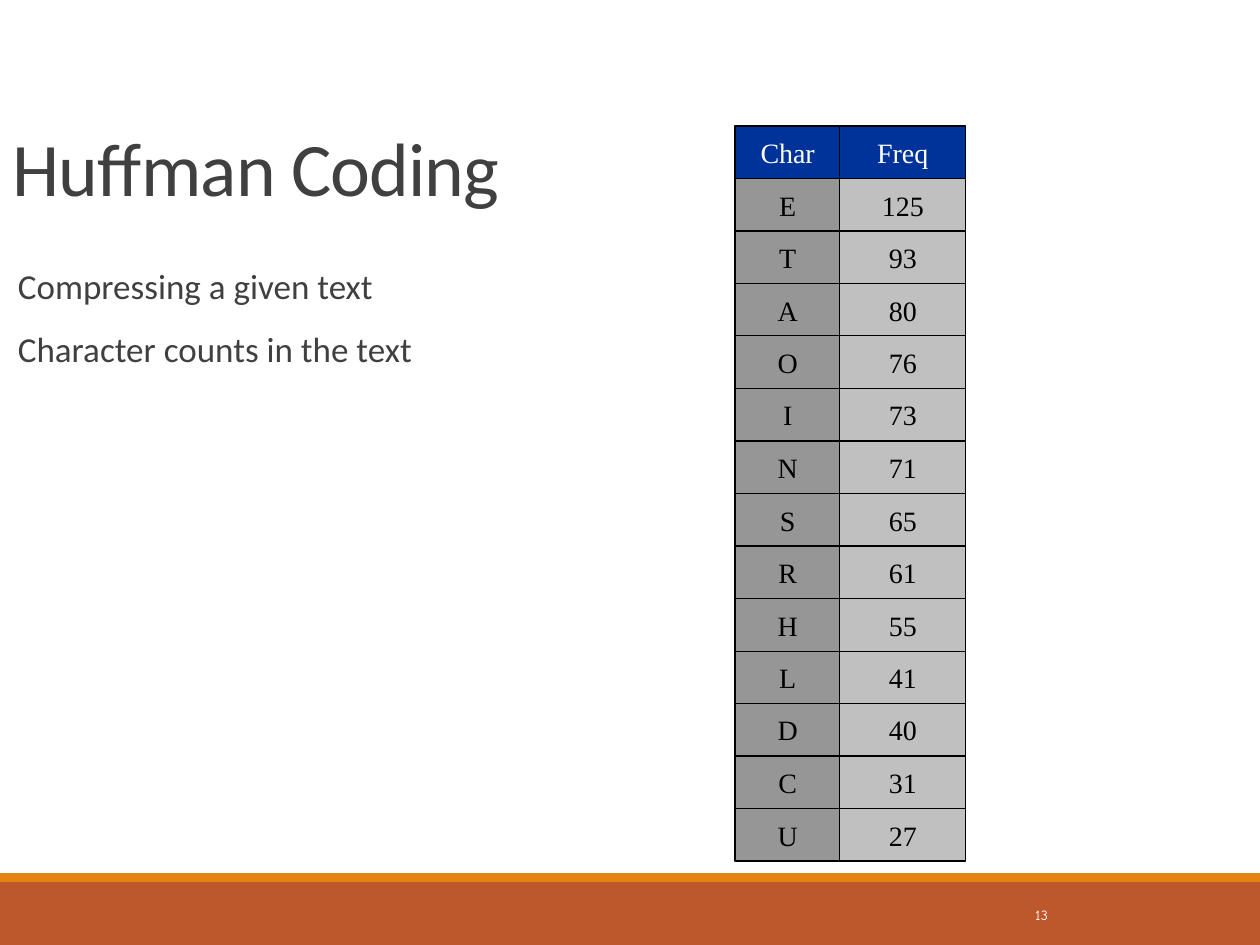
"""Build the Huffman coding slide with its grid of character counts."""
from typing import NamedTuple

from lxml import etree
from pptx import Presentation
from pptx.dml.color import RGBColor
from pptx.enum.shapes import MSO_SHAPE
from pptx.enum.text import MSO_ANCHOR, MSO_AUTO_SIZE, PP_ALIGN
from pptx.oxml.ns import qn
from pptx.util import Cm, Pt

RECT = MSO_SHAPE.RECTANGLE
LEFT, MID = PP_ALIGN.LEFT, PP_ALIGN.CENTER
CENTER, BASE = MSO_ANCHOR.MIDDLE, MSO_ANCHOR.BOTTOM
FIXED = MSO_AUTO_SIZE.NONE
SERIF = "Times New Roman"
SANS = "Calibri"
GRAY, BLACK, WHITE, BLUE = "404040", "000000", "FFFFFF", "003399"


class Box(NamedTuple):
    left: float
    top: float
    width: float
    height: float


class Band(NamedTuple):
    box: Box
    color: str


class Col(NamedTuple):
    left: float
    width: float
    fill: str
    head: str
    cells: list[str]


BANDS = [
    Band(Box(0, 17.78, 25.4, 1.27), "BD582C"),
    Band(Box(0, 17.6, 25.4, 0.18), "E48312"),
]
LINES = ["Compressing a given text", "Character counts in the text"]
COUNTS = "125 93 80 76 73 71 65 61 55 41 40 31 27".split()
COLS = [
    Col(14.82, 2.12, "969696", "Char", list("ETAOINSRHLDCU")),
    Col(16.93, 2.54, "C0C0C0", "Freq", COUNTS),
]
TOP = 2.54
STEP = 14.82 / (len(COUNTS) + 1)


def paint(part, color: str) -> None:
    """Give a fill or font a solid colour."""
    if hasattr(part, "solid"):
        part.solid()
        part.fore_color.rgb = RGBColor.from_string(color)
    else:
        part.color.rgb = RGBColor.from_string(color)


def style(para, face: str, size: float, color: str) -> None:
    """Set the font of a paragraph."""
    para.font.name = face
    para.font.size = Pt(size)
    paint(para.font, color)


def place(shape, box: Box) -> None:
    """Move and size a shape."""
    shape.left, shape.top, shape.width, shape.height = map(Cm, box)


def draw_rect(slide, box: Box, color: str):
    """Draw a flat rectangle and return it."""
    shape = slide.shapes.add_shape(RECT, *map(Cm, box))
    shape.shadow.inherit = False
    paint(shape.fill, color)
    return shape


def draw_page(slide, text: str) -> None:
    """Write the page number."""
    box = Box(20.62, 17.93, 2.74, 1.02)
    frame = slide.shapes.add_textbox(*map(Cm, box)).text_frame
    frame.word_wrap = True
    frame.vertical_anchor = CENTER
    frame.text = text
    style(frame.paragraphs[0], "Comic Neue", 8, WHITE)


def draw_title(shape, text: str) -> None:
    """Fill the title placeholder."""
    place(shape, Box(0, 2.42, 20.75, 1.98))
    frame = shape.text_frame
    frame.auto_size = FIXED
    frame.vertical_anchor = BASE
    frame.text = text
    para = frame.paragraphs[0]
    para.alignment = LEFT
    para.line_spacing = 0.85
    style(para, SANS, 43.2, GRAY)
    para.runs[0].font._element.set("spc", "-50")


def draw_list(shape, lines: list[str]) -> None:
    """Fill the body placeholder with plain indented lines."""
    place(shape, Box(0, 5.31, 20.75, 13.54))
    frame = shape.text_frame
    frame.auto_size = FIXED
    frame.margin_left = frame.margin_right = 0
    frame.text = "\n".join(lines)
    for i, para in enumerate(frame.paragraphs):
        props = para._p.get_or_add_pPr()
        props.set("marL", str(Cm(0.36)))
        props.set("indent", "0")
        etree.SubElement(props, qn("a:buNone"))
        para.line_spacing = 0.9
        para.space_before = Pt(12 if i else 0)
        para.space_after = Pt(2)
        style(para, SANS, 20, GRAY)


def draw_cell(slide, box: Box, text: str, fill: str, ink: str) -> None:
    """Draw one outlined cell with centred text."""
    shape = draw_rect(slide, box, fill)
    paint(shape.line.fill, BLACK)
    shape.line.width = Pt(0.75)
    frame = shape.text_frame
    frame.word_wrap = False
    frame.vertical_anchor = CENTER
    frame.text = text
    para = frame.paragraphs[0]
    para.alignment = MID
    style(para, SERIF, 16, ink)


def draw_col(slide, col: Col) -> None:
    """Draw a head cell and the cells below it."""
    for i, text in enumerate([col.head, *col.cells]):
        box = Box(col.left, round(TOP + i * STEP, 2), col.width, round(STEP, 2))
        fill, ink = (col.fill, BLACK) if i else (BLUE, WHITE)
        draw_cell(slide, box, text, fill, ink)


def main() -> None:
    """Build and save the slide."""
    deck = Presentation()
    deck.slide_width, deck.slide_height = Cm(25.4), Cm(19.05)
    slide = deck.slides.add_slide(deck.slide_layouts[1])
    for band in BANDS:
        draw_rect(slide, band.box, band.color).line.fill.background()
    draw_page(slide, "13")
    draw_title(slide.shapes.title, "Huffman Coding")
    draw_list(slide.placeholders[1], LINES)
    for col in COLS:
        draw_col(slide, col)
    deck.save("out.pptx")


if __name__ == "__main__":
    main()
